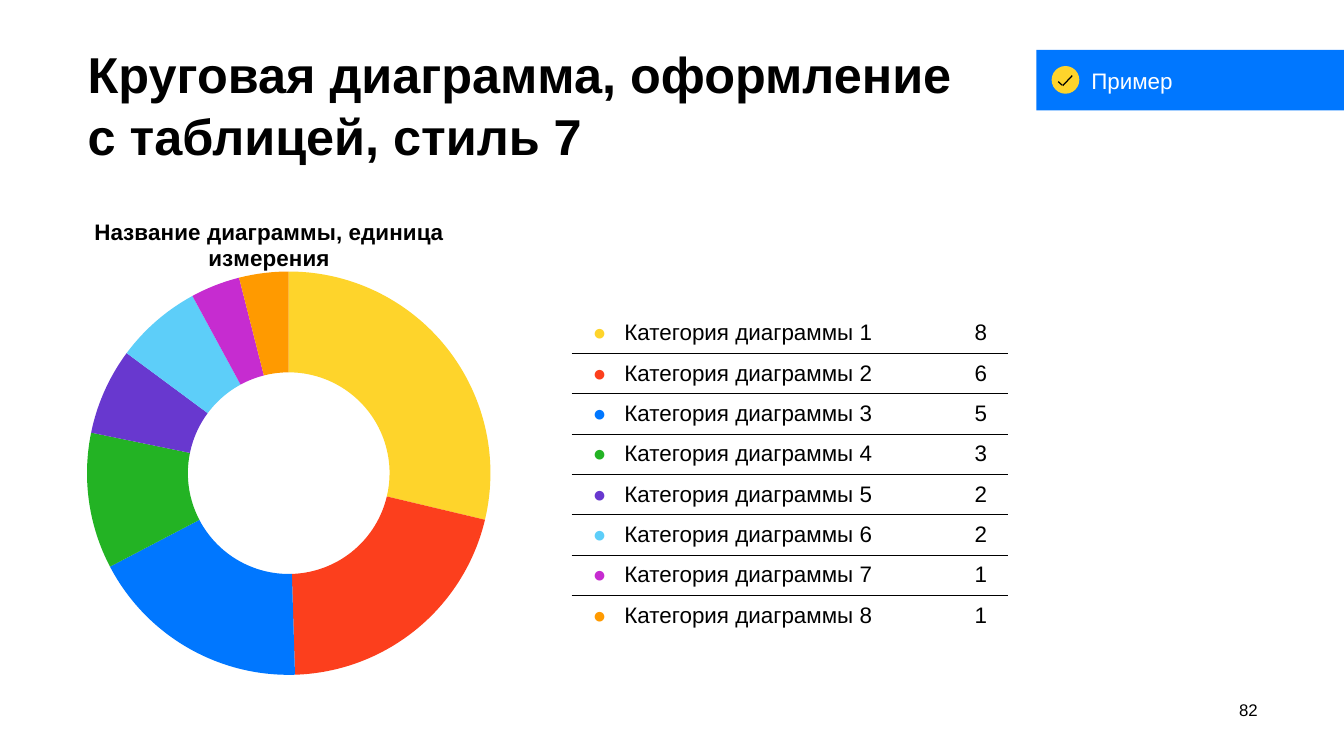
"""Build a slide with a doughnut chart, a colour-keyed table and an example badge."""
import pptx
import pptx.chart.data
import pptx.dml.color
import pptx.enum.chart
import pptx.enum.shapes
import pptx.enum.text
import pptx.oxml
import pptx.oxml.ns
import pptx.util
from dataclasses import dataclass

Pt = pptx.util.Pt
Align = pptx.enum.text.PP_ALIGN
Anchor = pptx.enum.text.MSO_ANCHOR
Shape = pptx.enum.shapes.MSO_SHAPE

TITLE = "Круговая диаграмма, оформление\vс таблицей, стиль 7"
CHART_TITLE = "Название диаграммы, единица измерения"
BADGE = "Пример"
PAGE_NUMBER = "82"
CATEGORIES = [
    ("Категория диаграммы 1", 8, 29, "FED42B"),
    ("Категория диаграммы 2", 6, 21, "FC3F1D"),
    ("Категория диаграммы 3", 5, 18, "0077FF"),
    ("Категория диаграммы 4", 3, 11, "23B324"),
    ("Категория диаграммы 5", 2, 7, "6838CF"),
    ("Категория диаграммы 6", 2, 7, "5DCEF9"),
    ("Категория диаграммы 7", 1, 4, "C62CD0"),
    ("Категория диаграммы 8", 1, 4, "FF9A00"),
]
CHECK_MARK = [(1511.3, 116.6, 1517, 121.7), (1517.8, 122.4, 1531.4, 108)]


@dataclass(frozen=True)
class Theme:
    font: str = "Arial"
    ink: str = "000000"
    paper: str = "FFFFFF"
    accent: str = "0077FF"
    highlight: str = "FED42B"
    title: int = 72
    body: int = 32
    small: int = 24


THEME = Theme()


def rgb(value):
    return pptx.dml.color.RGBColor.from_string(value)


def add_xml(parent, markup):
    namespaces = pptx.oxml.ns.nsdecls("a", "c")
    tag, rest = markup.split(" ", 1)
    element = pptx.oxml.parse_xml(f"{tag} {namespaces} {rest}")
    parent.append(element)
    return element


def write(frame, text, size=THEME.body, color=THEME.ink, bold=False, align=Align.LEFT,
          anchor=Anchor.MIDDLE, insets=(0, 0, 0, 0), spacing=None, bullet=None):
    frame.word_wrap = True
    frame.vertical_anchor = anchor
    frame.margin_left, frame.margin_top, frame.margin_right, frame.margin_bottom = map(Pt, insets)
    para = frame.paragraphs[0]
    para.text = text
    para.alignment = align
    if spacing:
        para.line_spacing = spacing
    if bullet:
        properties = para._p.get_or_add_pPr()
        properties.set("marL", str(Pt(45)))
        properties.set("indent", str(-Pt(45)))
        add_xml(properties, f'<a:buClr ><a:srgbClr val="{bullet}"/></a:buClr>')
        add_xml(properties, f'<a:buFont typeface="{THEME.font}"/>')
        add_xml(properties, '<a:buChar char="●"/>')
    for span in para.runs:
        style(span.font, size, color, bold)


def style(font, size, color, bold=False):
    font.name, font.size, font.bold = THEME.font, Pt(size), bold
    font.color.rgb = rgb(color)


def add_filled(page, kind, place, color):
    shape = page.shapes.add_shape(kind, *map(Pt, place))
    shape.shadow.inherit = False
    shape.fill.solid()
    shape.fill.fore_color.rgb = rgb(color)
    shape.line.fill.background()
    return shape


def add_title(page):
    box = page.shapes.title
    box.left, box.top, box.width, box.height = map(Pt, (125.3, 43.2, 1671.8, 114.5))
    write(box.text_frame, TITLE, size=THEME.title, bold=True, anchor=Anchor.TOP,
          insets=(0, 15.8, 0, 0), spacing=1.03)


def add_layout(x, y, width=None, height=None):
    parts = '<c:xMode val="edge"/><c:yMode val="edge"/>'
    if width:
        parts = '<c:layoutTarget val="inner"/>' + parts
    for name, value in zip("xywh", (x, y, width, height)):
        if value is not None:
            parts += f'<c:{name} val="{value}"/>'
    namespaces = pptx.oxml.ns.nsdecls("c")
    return pptx.oxml.parse_xml(
        f"<c:layout {namespaces}><c:manualLayout>{parts}</c:manualLayout></c:layout>")


def add_doughnut(page):
    data = pptx.chart.data.CategoryChartData()
    data.categories = [str(number) for number in range(1, len(CATEGORIES) + 1)]
    data.add_series("Series 1", [share for _, _, share, _ in CATEGORIES])
    place = map(Pt, (103, 270.7, 865.4, 693.4))
    chart = page.shapes.add_chart(
        pptx.enum.chart.XL_CHART_TYPE.DOUGHNUT, *place, data).chart
    style(chart.font, 10, THEME.ink)
    chart.has_legend = False
    chart.has_title = True
    heading = chart.chart_title.text_frame.paragraphs[0]
    heading.text = CHART_TITLE
    style(heading.runs[0].font, THEME.body, THEME.ink, bold=True)

    title_xml = chart.chart_title._element
    plot_xml = chart._chartSpace.chart.plotArea
    for parent in (title_xml, plot_xml):
        for old in parent.findall(pptx.oxml.ns.qn("c:layout")):
            parent.remove(old)
    title_xml.find(pptx.oxml.ns.qn("c:tx")).addnext(add_layout(0.03, 0.05))
    plot_xml.insert(0, add_layout(0, 0.169, 0.715, 0.831))

    plot = chart.plots[0]
    plot.vary_by_categories = True
    plot._element.find(pptx.oxml.ns.qn("c:holeSize")).set("val", "65")
    for index, (_, _, _, color) in enumerate(CATEGORIES):
        sector = plot.series[0].points[index].format
        sector.fill.solid()
        sector.fill.fore_color.rgb = rgb(color)
        sector.line.fill.background()


def set_borders(cell, **visible):
    properties = cell._tc.get_or_add_tcPr()
    for position, side in enumerate("LRTB"):
        fill = "<a:noFill/>"
        if visible.get(side):
            fill = f'<a:solidFill><a:srgbClr val="{THEME.ink}"/></a:solidFill>'
        border = add_xml(properties, f'<a:ln{side} w="{Pt(1)}">{fill}</a:ln{side}>')
        properties.insert(position, border)


def add_table(page):
    widths, row_height = (512.6, 110.9), 57.6
    count = len(CATEGORIES)
    place = map(Pt, (816.5, 447.1, sum(widths), row_height * count))
    table = page.shapes.add_table(count, len(widths), *place).table
    table.first_row = table.horz_banding = False
    for column, width in zip(table.columns, widths):
        column.width = Pt(width)
    for index, (name, value, _, color) in enumerate(CATEGORIES):
        table.rows[index].height = Pt(row_height)
        formats = ((name, Align.LEFT, color), (str(value), Align.RIGHT, None))
        for column, (text, align, bullet) in enumerate(formats):
            cell = table.cell(index, column)
            write(cell.text_frame, text, align=align, bullet=bullet)
            cell.vertical_anchor = Anchor.MIDDLE
            cell.margin_left = cell.margin_right = Pt(30.2)
            cell.margin_top = cell.margin_bottom = Pt(8.6)
            cell.fill.solid()
            cell.fill.fore_color.rgb = rgb(THEME.paper)
            set_borders(cell, T=index > 0, B=index < count - 1)


def add_badge(page):
    banner = add_filled(page, Shape.RECTANGLE, (1480.3, 71.3, 439.2, 86.4), THEME.accent)
    write(banner.text_frame, BADGE, color=THEME.paper, insets=(78.3, 17.3, 7.2, 17.3))
    add_filled(page, Shape.OVAL, (1501.9, 94.3, 39.6, 39.6), THEME.highlight)
    for ends in CHECK_MARK:
        stroke = page.shapes.add_connector(
            pptx.enum.shapes.MSO_CONNECTOR.STRAIGHT, *map(Pt, ends))
        stroke.line.color.rgb = rgb(THEME.ink)
        stroke.line.width = Pt(1.75)
        add_xml(stroke._element.spPr, "<a:effectLst />")


def main():
    deck = pptx.Presentation()
    deck.slide_width, deck.slide_height = Pt(1919.5), Pt(1080)
    page = deck.slides.add_slide(deck.slide_layouts[5])
    add_title(page)
    add_doughnut(page)
    add_table(page)
    add_badge(page)
    number = page.shapes.add_textbox(*map(Pt, (1710, 993.6, 86.4, 34.6)))
    write(number.text_frame, PAGE_NUMBER, size=THEME.small, align=Align.RIGHT,
          insets=(0, 5.8, 0, 0))
    deck.save("out.pptx")


if __name__ == "__main__":
    main()
